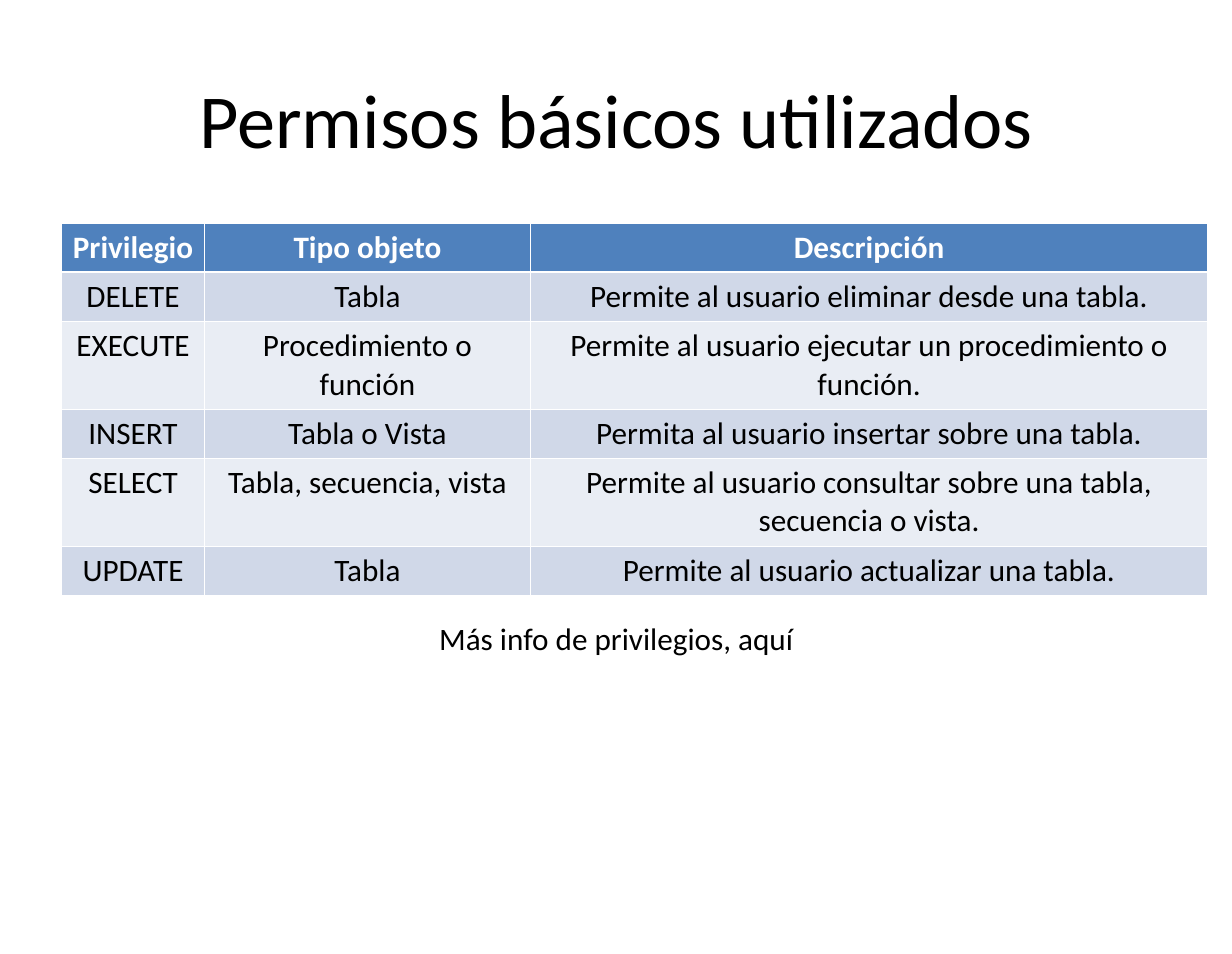
from dataclasses import dataclass

from lxml import etree
from pptx import Presentation
from pptx.dml.color import RGBColor
from pptx.enum.text import MSO_ANCHOR, PP_ALIGN
from pptx.oxml.ns import qn
from pptx.slide import Slide
from pptx.table import _Cell
from pptx.text.text import TextFrame
from pptx.util import Cm, Pt

CENTER, JUSTIFY = PP_ALIGN.CENTER, PP_ALIGN.JUSTIFY
TOP, MIDDLE = MSO_ANCHOR.TOP, MSO_ANCHOR.MIDDLE
BLACK = RGBColor(0x00, 0x00, 0x00)
WHITE = RGBColor(0xFF, 0xFF, 0xFF)
BLUE = RGBColor(0x4F, 0x81, 0xBD)
DARK = RGBColor(0xD0, 0xD8, 0xE8)
LIGHT = RGBColor(0xE9, 0xED, 0xF4)
FONT = "Calibri"
THIN, THICK = Pt(0.45), Pt(1.47)

COLS = (3.23, 7.39, 15.34)
ONE, TWO = 1.11, 1.96  # heights of rows with one and two lines


@dataclass
class Row:
    cells: tuple[str, str, str]
    height: float = ONE


@dataclass
class Label:
    text: str
    left: float
    top: float
    width: float
    height: float
    size: float
    align: PP_ALIGN
    anchor: MSO_ANCHOR


ROWS = [
    Row(("Privilegio", "Tipo objeto", "Descripción")),
    Row(("DELETE", "Tabla", "Permite al usuario eliminar desde una tabla.")),
    Row(("EXECUTE", "Procedimiento o función",
         "Permite al usuario ejecutar un procedimiento o función."), TWO),
    Row(("INSERT", "Tabla o Vista",
         "Permita al usuario insertar sobre una tabla.")),
    Row(("SELECT", "Tabla, secuencia, vista",
         "Permite al usuario consultar sobre una tabla, secuencia o vista."),
        TWO),
    Row(("UPDATE", "Tabla", "Permite al usuario actualizar una tabla.")),
]
LABELS = [
    Label("Permisos básicos utilizados", 1.4, 0.86, 25.12, 3.61, 49,
          CENTER, MIDDLE),
    Label("Más info de privilegios, aquí", 9.7, 13.92, 8.69, 1.12, 20,
          JUSTIFY, TOP),
]


def write(frame: TextFrame, text: str, size: float, color: RGBColor,
          align: PP_ALIGN, bold: bool = False) -> None:
    para = frame.paragraphs[0]
    para.text = text
    para.alignment = align
    font = para.font
    font.name, font.size, font.bold = FONT, Pt(size), bold
    font.color.rgb = color


def add_label(slide: Slide, label: Label) -> None:
    box = slide.shapes.add_textbox(Cm(label.left), Cm(label.top),
                                   Cm(label.width), Cm(label.height))
    frame = box.text_frame
    frame.word_wrap = True
    frame.vertical_anchor = label.anchor
    write(frame, label.text, label.size, BLACK, label.align)


def add_edges(cell: _Cell, top: int, bottom: int) -> None:
    """Draw white borders, with their own widths above and below."""
    props = cell._tc.get_or_add_tcPr()
    edges = {"a:lnL": THIN, "a:lnR": THIN, "a:lnT": top, "a:lnB": bottom}
    for tag, width in edges.items():
        line = etree.SubElement(props, qn(tag), w=str(width))
        fill = etree.SubElement(line, qn("a:solidFill"))
        etree.SubElement(fill, qn("a:srgbClr"), val=str(WHITE))


def add_grid(slide: Slide) -> None:
    table = slide.shapes.add_table(
        len(ROWS), len(COLS), Cm(1.4), Cm(5.05),
        Cm(sum(COLS)), Cm(sum(row.height for row in ROWS))).table
    for col, width in zip(table.columns, COLS):
        col.width = Cm(width)
    for i, row in enumerate(ROWS):
        table.rows[i].height = Cm(row.height)
        head = i == 0
        shade = BLUE if head else DARK if i % 2 else LIGHT
        for j, text in enumerate(row.cells):
            cell = table.cell(i, j)
            cell.margin_left = cell.margin_right = Cm(0.24)
            add_edges(cell, THICK if i == 1 else THIN, THICK if head else THIN)
            cell.fill.solid()
            cell.fill.fore_color.rgb = shade
            write(cell.text_frame, text, 20, WHITE if head else BLACK,
                  CENTER, head)


def main() -> None:
    deck = Presentation()
    deck.slide_width, deck.slide_height = Cm(27.91), Cm(21.62)
    slide = deck.slides.add_slide(deck.slide_layouts[6])
    add_grid(slide)
    for label in LABELS:
        add_label(slide, label)
    deck.save("out.pptx")


if __name__ == "__main__":
    main()
